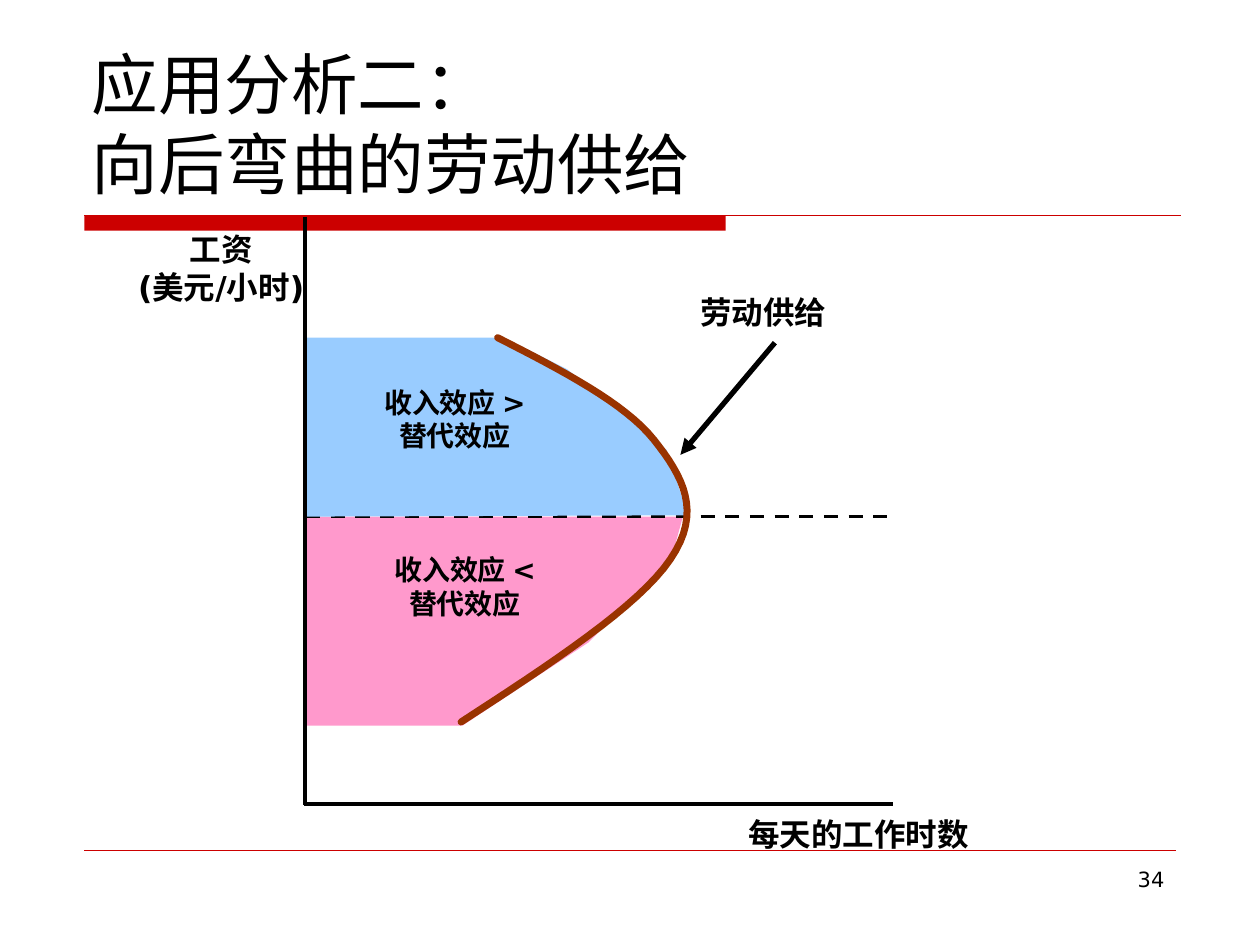
from lxml import etree
from pptx import Presentation, util as u
from pptx.dml.color import RGBColor
from pptx.enum import dml, shapes, text
from pptx.oxml import ns

PX = 9144
BLACK = RGBColor(0, 0, 0)
RED = RGBColor(0xCC, 0, 0)
PINK = RGBColor(0xFF, 0x99, 0xCC)
BLUE = RGBColor(0x99, 0xCC, 0xFF)
BROWN = RGBColor(0x99, 0x33, 0)

prs = Presentation()
prs.slide_width, prs.slide_height = 1000 * PX, 750 * PX
s = prs.slides.add_slide(prs.slide_layouts[6])


def add_text(box, content, size, bold=True, align=text.PP_ALIGN.LEFT,
             wrap=True, anchor=text.MSO_ANCHOR.TOP):
    tf = s.shapes.add_textbox(*[v * PX for v in box]).text_frame
    tf.word_wrap = wrap
    tf.vertical_anchor = anchor
    tf.text = content
    for p in tf.paragraphs:
        p.alignment = align
        p.font.name = "DejaVu Sans"
        p.font.size = u.Pt(size)
        p.font.bold = bold
        p.font.color.rgb = BLACK


def add_line(x1, y1, x2, y2, width, color=BLACK):
    c = s.shapes.add_connector(shapes.MSO_CONNECTOR.STRAIGHT,
                               x1 * PX, y1 * PX, x2 * PX, y2 * PX)
    c.line.width = u.Pt(width)
    c.line.color.rgb = color
    etree.SubElement(c._element.spPr, ns.qn("a:effectLst"))
    return c


bar = s.shapes.add_shape(shapes.MSO_SHAPE.RECTANGLE,
                         67 * PX, 171 * PX, 509 * PX, 12 * PX)
bar.shadow.inherit = False
bar.fill.solid()
bar.fill.fore_color.rgb = RED
bar.line.fill.background()
add_line(67, 171, 937, 171, 0.75, RED)
add_line(67, 675, 933, 675, 0.25, RED)

regions = [
    (PINK, [(242, 410), (542, 410), (533, 443), (467, 510), (367, 576), (242, 576)],
     (303, 434, 132, 63), "收入效应 <\n替代效应"),
    (BLUE, [(242, 410), (546, 409), (529, 357), (492, 326), (450, 293), (400, 268), (242, 268)],
     (295, 301, 132, 63), "收入效应 >\n替代效应"),
]
for color, points, box, label in regions:
    fb = s.shapes.build_freeform(*points[0], scale=PX)
    fb.add_line_segments(points[1:], close=True)
    sp = fb.convert_to_shape()
    sp.shadow.inherit = False
    sp.fill.solid()
    sp.fill.fore_color.rgb = color
    sp.line.fill.background()
    if color == PINK:
        add_line(243, 410, 707, 410, 2).line.dash_style = dml.MSO_LINE.DASH
    add_text(box, label, 16, align=text.PP_ALIGN.CENTER)

add_text((63, 33, 875, 133), "应用分析二：\v向后弯曲的劳动供给", 38, bold=False,
         anchor=text.MSO_ANCHOR.BOTTOM)
add_line(242, 172, 242, 639, 2)
add_line(241, 638, 709, 638, 2)
add_text((584, 642, 195, 40), "每天的工作时数", 18, wrap=False)
add_text((90, 178, 171, 70), "工资\n(美元/小时)", 18, align=text.PP_ALIGN.CENTER)

knots = [(366, 573), (437, 527), (507, 481), (532, 444), (558, 406),
         (542, 378), (519, 349), (496, 320), (446, 294), (395, 268)]
STEPS = 16
curve = []
for i in range(0, len(knots) - 1, 3):
    for n in range(1, STEPS + 1):
        t = n / STEPS
        weights = ((1 - t) ** 3, 3 * t * (1 - t) ** 2, 3 * t * t * (1 - t), t ** 3)
        curve.append([PX * sum(w * k[axis] for w, k in zip(weights, knots[i:i + 4]))
                      for axis in (0, 1)])
fb = s.shapes.build_freeform(knots[0][0] * PX, knots[0][1] * PX)
fb.add_line_segments(curve, close=False)
supply = fb.convert_to_shape()
supply.shadow.inherit = False
supply.fill.background()
supply.line.color.rgb = BROWN
supply.line.width = u.Pt(4)
supply.line._get_or_add_ln().set("cap", "rnd")

add_text((546, 228, 120, 40), "劳动供给", 18, wrap=False)
arrow = add_line(615, 272, 540, 361, 3)
etree.SubElement(arrow.line._get_or_add_ln(), ns.qn("a:tailEnd"), type="triangle")
add_text((717, 683, 217, 52), "34", 12, bold=False, align=text.PP_ALIGN.RIGHT)

prs.save("out.pptx")
